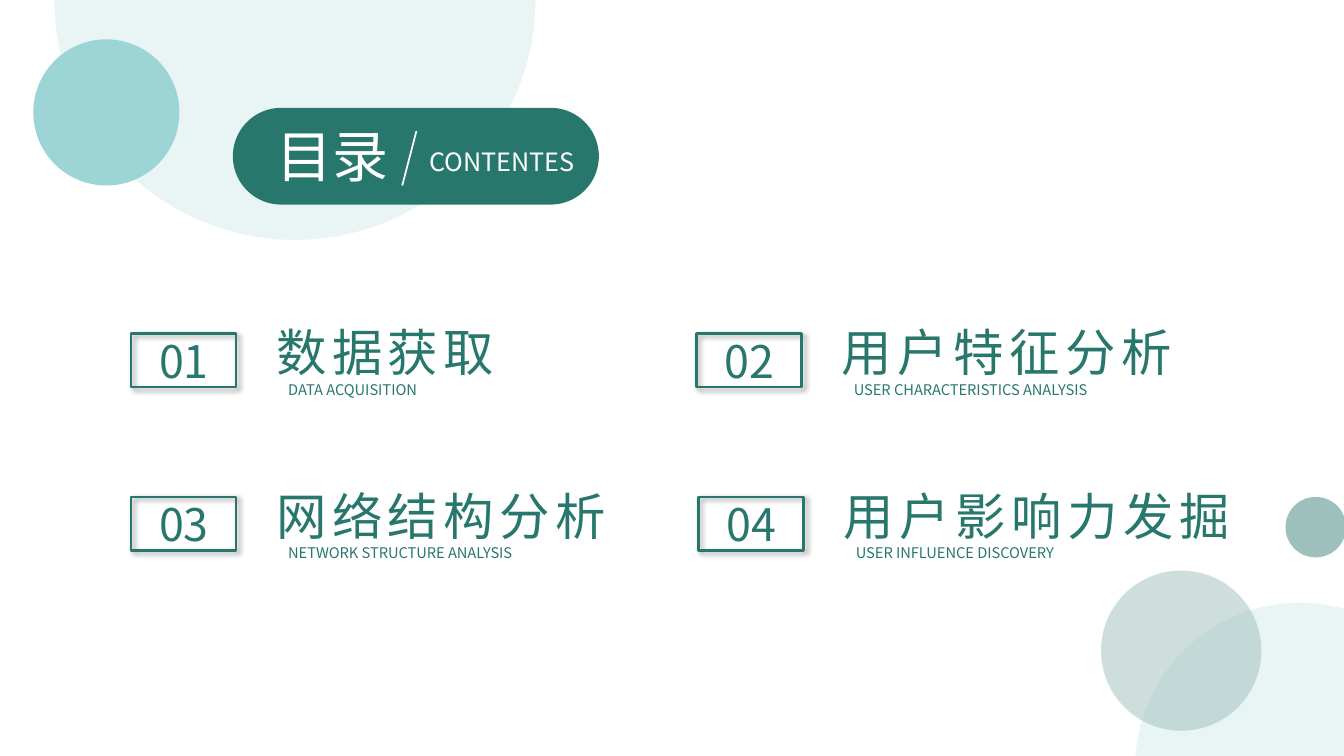
from lxml.etree import SubElement
from pptx import Presentation
from pptx.dml.color import RGBColor
from pptx.enum.shapes import MSO_CONNECTOR, MSO_SHAPE
from pptx.enum.text import MSO_ANCHOR, MSO_AUTO_SIZE, PP_ALIGN
from pptx.oxml import parse_xml
from pptx.oxml.ns import nsdecls, qn
from pptx.util import Inches, Pt

COLORS = {"green": "27776D", "pale": "E9F5F5", "aqua": "9DD5D6",
          "sage": "9DC0BC", "white": "FFFFFF"}
FONT = "Noto Sans CJK SC"
SHADOW = (f'<a:effectLst {nsdecls("a")}>'
          '<a:outerShdw blurRad="50800" dist="38100" dir="2700000" algn="tl" rotWithShape="0">'
          '<a:srgbClr val="000000"><a:alpha val="40000"/></a:srgbClr>'
          '</a:outerShdw></a:effectLst>')


def write(sp, text, size, color, align=PP_ALIGN.LEFT, spacing=0):
    tf = sp.text_frame
    tf.word_wrap = True
    tf.auto_size = MSO_AUTO_SIZE.NONE
    tf.vertical_anchor = MSO_ANCHOR.TOP
    p = tf.paragraphs[0]
    p.text = text
    p.alignment = align
    p.font.size = Pt(size)
    p.font.name = FONT
    p.font.color.rgb = RGBColor.from_string(COLORS[color])
    rPr = p._p.get_or_add_pPr().get_or_add_defRPr()
    SubElement(rPr, qn("a:ea"), typeface=FONT)
    if spacing:
        rPr.set("spc", str(spacing * 100))


def add_filled(kind, x, y, w, h, color):
    sp = s.shapes.add_shape(kind, Inches(x), Inches(y), Inches(w), Inches(h))
    sp.shadow.inherit = False
    sp.fill.solid()
    sp.fill.fore_color.rgb = RGBColor.from_string(COLORS[color])
    sp.line.fill.background()
    return sp


prs = Presentation()
prs.slide_width, prs.slide_height = Inches(13.33), Inches(7.5)
s = prs.slides.add_slide(prs.slide_layouts[5])

for x, y, d, color in [(0.54, -2.39, 4.77, "pale"), (0.33, 0.39, 1.45, "aqua")]:
    add_filled(MSO_SHAPE.OVAL, x, y, d, d, color)

banner = add_filled(MSO_SHAPE.ROUNDED_RECTANGLE, 2.31, 1.07, 3.63, 0.96, "green")
banner.adjustments[0] = 0.5

title = s.shapes.title
title.left, title.top = Inches(2.64), Inches(1.16)
title.width, title.height = Inches(1.35), Inches(0.77)
write(title, "目录", 40, "white")
s.shapes.element.append(title.element)

slash = s.shapes.add_connector(MSO_CONNECTOR.STRAIGHT, Inches(3.99), Inches(1.84),
                               Inches(4.13), Inches(1.3))
slash.line.color.rgb = RGBColor.from_string(COLORS["white"])
slash.line.width = Pt(1.25)
SubElement(slash.element.spPr, qn("a:effectLst"))

subtitle = s.shapes.add_textbox(Inches(4.16), Inches(1.4), Inches(1.78), Inches(0.4))
write(subtitle, "CONTENTES", 18, "white")

sections = [
    (1.3, 3.31, "数据获取", "DATA ACQUISITION"),
    (6.91, 3.31, "用户特征分析", "USER CHARACTERISTICS ANALYSIS"),
    (1.3, 4.93, "网络结构分析", "NETWORK STRUCTURE ANALYSIS"),
    (6.93, 4.93, "用户影响力发掘", "USER INFLUENCE DISCOVERY"),
]
for i, (x, y, heading, caption) in enumerate(sections, 1):
    frame = s.shapes.add_shape(MSO_SHAPE.RECTANGLE, Inches(x), Inches(y),
                               Inches(1.04), Inches(0.53))
    frame.fill.background()
    frame.line.color.rgb = RGBColor.from_string(COLORS["green"])
    frame.line.width = Pt(1.75)
    frame.element.spPr.append(parse_xml(SHADOW))

    for dx, dy, w, h, text, size, align, spacing in [
        (0.03, -0.05, 0.99, 0.64, f"{i:02}", 32, PP_ALIGN.CENTER, 0),
        (1.34, -0.17, 4.23, 0.71, heading, 36, PP_ALIGN.LEFT, 4),
        (1.46, 0.42, 3.52, 0.29, caption, 10.5, PP_ALIGN.JUSTIFY, 0),
    ]:
        tb = s.shapes.add_textbox(Inches(x + dx), Inches(y + dy), Inches(w), Inches(h))
        write(tb, text, size, "green", align, spacing)

for x, y, d, color in [(11.26, 5.98, 3.26, "pale"), (12.75, 4.93, 0.6, "sage"),
                       (10.92, 5.66, 1.59, "sage")]:
    circle = add_filled(MSO_SHAPE.OVAL, x, y, d, d, color)
SubElement(circle.element.spPr.find(qn("a:solidFill"))[0], qn("a:alpha"), val="51000")

prs.save("out.pptx")
